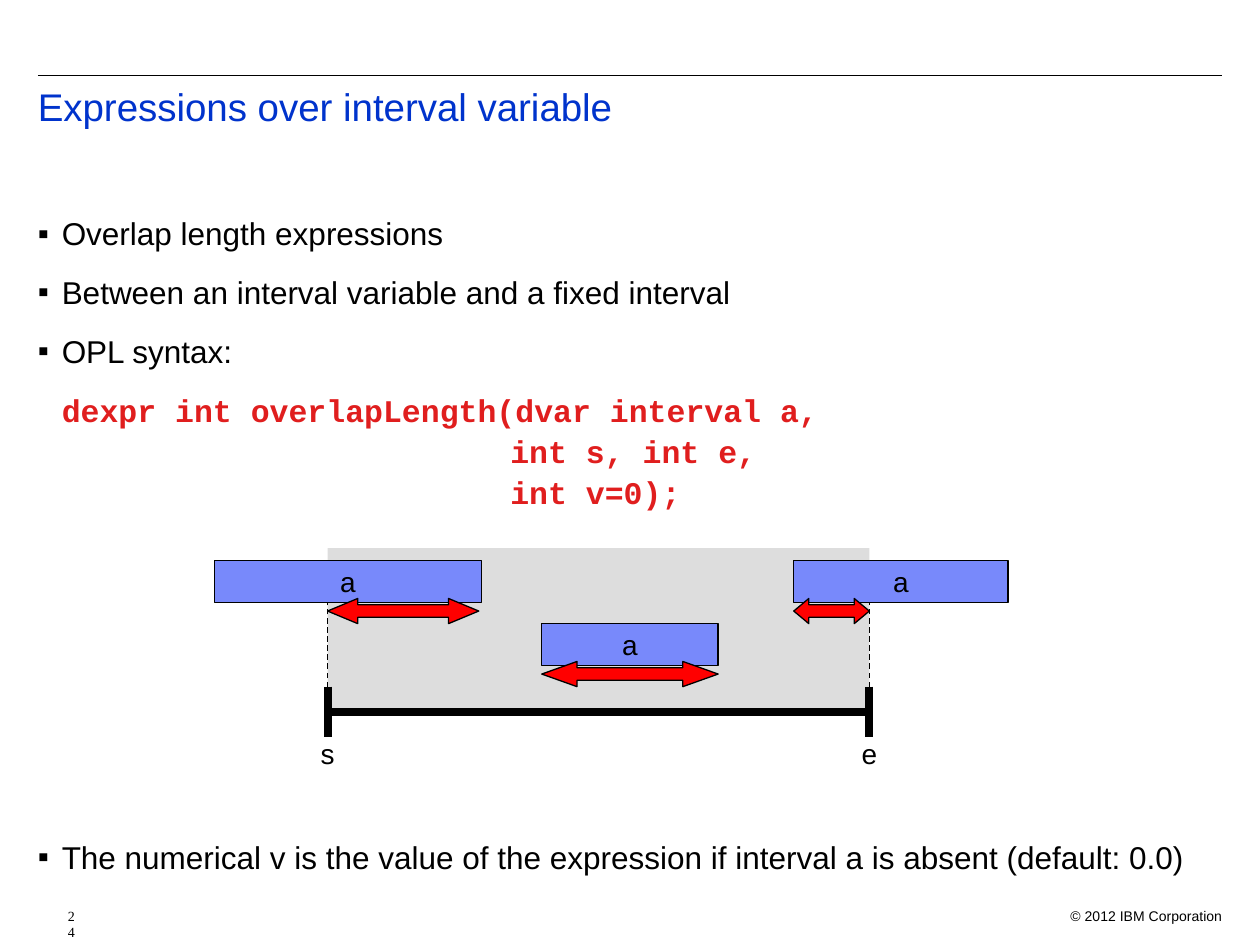
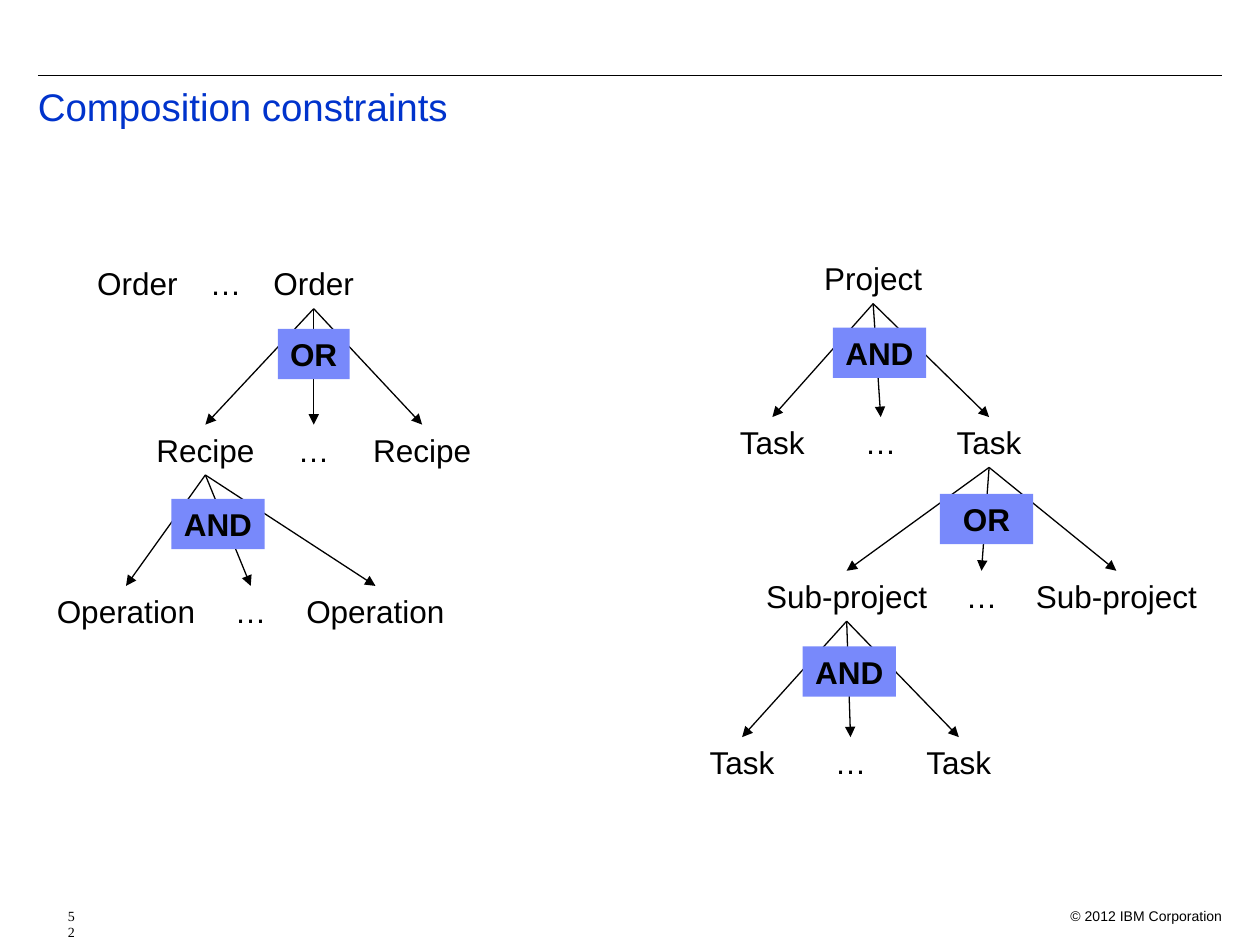
"""Build two slides on interval expressions and composition constraints."""
from lxml.etree import SubElement
from pptx import Presentation
from pptx.dml.color import RGBColor
from pptx.enum.dml import MSO_LINE
from pptx.enum.shapes import MSO_CONNECTOR, MSO_SHAPE
from pptx.enum.text import MSO_ANCHOR as ANCHOR, MSO_AUTO_SIZE as AUTO_SIZE, PP_ALIGN as ALIGN
from pptx.oxml.ns import qn
from pptx.util import Pt

PX = 9144
BLACK = RGBColor(0, 0, 0)
TITLE_BLUE = RGBColor(0, 0x33, 0xCC)
BOX_BLUE = RGBColor(0x78, 0x89, 0xFB)
CODE_RED = RGBColor(0xE0, 0x1E, 0x1E)
ARROW_RED = RGBColor(0xFF, 0, 0)
WINDOW_GREY = RGBColor(0xDD, 0xDD, 0xDD)

TITLE = {"size": Pt(22), "name": "Arial", "color": TITLE_BLUE}
BODY = {"size": Pt(18), "name": "Arial", "color": BLACK}
CODE = {"size": Pt(18), "name": "Courier New", "color": CODE_RED, "bold": True}
GATE = {**BODY, "bold": True}
LABEL = {**BODY, "size": Pt(16)}
FOOTER = {**BODY, "size": Pt(8)}
NUMBER = {**FOOTER, "name": "Times New Roman"}

COPYRIGHT = "© 2012 IBM Corporation"
BULLET_INDENT = 19
NUMBER_INDENT = 24

OVERLAP_TITLE = "Expressions over interval variable"
OVERLAP_LINES = [
    ("Overlap length expressions", BODY, 0),
    ("Between an interval variable and a fixed interval", BODY, 12),
    ("OPL syntax:", BODY, 12),
    ("dexpr int overlapLength(dvar interval a,", CODE, 12.5),
    ("                         int s, int e,", CODE, 1.6),
    ("                         int v=0);", CODE, 1.6),
    ("The numerical v is the value of the expression if interval a is absent (default: 0.0)",
     BODY, 187),
]
WINDOW = {"s": 260, "e": 690}
INTERVALS = [(170, 445, 212), (430, 495, 140), (630, 445, 170)]
OVERLAPS = [(260, 475, 120), (430, 525, 140), (630, 475, 60)]
ARROW_HEIGHT = 20

COMPOSITION_TITLE = "Composition constraints"
NODE_HEIGHT = 40
NODE_WIDTHS = {"Order": 84, "Recipe": 98, "Operation": 130, "Project": 98, "Task": 74,
               "Sub-project": 148, "…": 45, "OR": 57, "AND": 74}
ROWS = {
    "orders": ("Order", 205, 109, 249),
    "recipes": ("Recipe", 337, 163, 335),
    "operations": ("Operation", 465, 100, 298),
    "project": ("Project", 201, 693, 693),
    "tasks": ("Task", 331, 613, 785),
    "sub-projects": ("Sub-project", 453, 672, 886),
    "sub-tasks": ("Task", 585, 589, 761),
}
FIRST, LAST = 0, -1
BRANCHES = [
    ("orders", LAST, "recipes", "OR", 249, 261, 57),
    ("recipes", FIRST, "operations", "AND", 173, 396, 74),
    ("project", FIRST, "tasks", "AND", 698, 260, 74),
    ("tasks", LAST, "sub-projects", "OR", 783, 392, 74),
    ("sub-projects", FIRST, "sub-tasks", "AND", 674, 513, 74),
]


def px(*lengths):
    return [round(length * PX) for length in lengths]


def apply(target, **values):
    for name, value in values.items():
        setattr(target, name, value)


def write(paragraph, text, style, **layout):
    run = paragraph.add_run()
    run.text = text
    for name, value in style.items():
        if name == "color":
            run.font.color.rgb = value
        else:
            setattr(run.font, name, value)
    apply(paragraph, **layout)


def indent(paragraph, margin, first):
    properties = paragraph._p.get_or_add_pPr()
    properties.set("marL", str(margin * PX))
    properties.set("indent", str(first * PX))
    return properties


def add_text(slide, text, style, box, wrap=False, **layout):
    frame = slide.shapes.add_textbox(*px(*box)).text_frame
    frame.word_wrap = wrap
    write(frame.paragraphs[0], text, style, **layout)
    return frame.paragraphs[0]


def add_shape(slide, kind, box, fill, outlined=True, text="", style=LABEL):
    shape = slide.shapes.add_shape(kind, *px(*box))
    shape.shadow.inherit = False
    shape.fill.solid()
    shape.fill.fore_color.rgb = fill
    if outlined:
        shape.line.color.rgb = BLACK
        shape.line.width = Pt(0.75)
    else:
        shape.line.fill.background()
    if text:
        apply(shape.text_frame, word_wrap=False, vertical_anchor=ANCHOR.MIDDLE)
        write(shape.text_frame.paragraphs[0], text, style, alignment=ALIGN.CENTER)
    return shape


def add_line(slide, start, end, width=0.75, dash=None, arrow=False):
    connector = slide.shapes.add_connector(MSO_CONNECTOR.STRAIGHT, *px(*start, *end))
    connector.line.color.rgb = BLACK
    apply(connector.line, width=Pt(width), dash_style=dash)
    if arrow:
        SubElement(connector.line._get_or_add_ln(), qn("a:tailEnd"), type="triangle")
    SubElement(connector._element.spPr, qn("a:effectLst"))


def place(placeholder, box):
    names = ("left", "top", "width", "height")
    apply(placeholder, **dict(zip(names, px(*box))))
    apply(placeholder.text_frame, vertical_anchor=ANCHOR.TOP, auto_size=AUTO_SIZE.NONE,
          word_wrap=True)
    return placeholder.text_frame


def add_slide(presentation, layout, title, number):
    slide = presentation.slides.add_slide(presentation.slide_layouts.get_by_name(layout))
    add_line(slide, (30, 60), (970, 60))
    frame = place(slide.shapes.title, (20, 65, 950, 70))
    write(frame.paragraphs[0], title, TITLE, alignment=ALIGN.LEFT, line_spacing=0.9)
    add_text(slide, COPYRIGHT, FOOTER, (830, 715, 150, 20), True, alignment=ALIGN.RIGHT)
    indent(add_text(slide, number, NUMBER, (20, 715, 40, 20), True), NUMBER_INDENT, 0)
    return slide


def fill_body(frame):
    for index, (text, style, space) in enumerate(OVERLAP_LINES):
        paragraph = frame.add_paragraph() if index else frame.paragraphs[0]
        hanging = style is BODY or text.startswith(" ")
        properties = indent(paragraph, BULLET_INDENT, -BULLET_INDENT if hanging else 0)
        if style is BODY:
            SubElement(properties, qn("a:buFont"), typeface="Arial")
            SubElement(properties, qn("a:buChar"), char="▪")
        else:
            SubElement(properties, qn("a:buNone"))
        write(paragraph, text, style, space_before=Pt(space), line_spacing=1.0)


def build_overlap(presentation):
    slide = add_slide(presentation, "Title and Content", OVERLAP_TITLE, "24")
    fill_body(place(slide.placeholders[1], (20, 165, 950, 540)))
    start, end = WINDOW.values()
    add_shape(slide, MSO_SHAPE.RECTANGLE, (start, 435, end - start, 130), WINDOW_GREY, False)
    for name, x in WINDOW.items():
        add_line(slide, (x, 545), (x, 585), 4.5)
        add_line(slide, (x, 545), (x, 455), dash=MSO_LINE.DASH)
        add_text(slide, name, LABEL, (x - 16, 583, 32, 34), alignment=ALIGN.CENTER,
                 line_spacing=0.9)
    add_line(slide, (start, 565), (end, 565), 4.5)
    for left, top, width in INTERVALS:
        add_shape(slide, MSO_SHAPE.RECTANGLE, (left, top, width, 33), BOX_BLUE, text="a")
    for left, top, width in OVERLAPS:
        arrow = add_shape(slide, MSO_SHAPE.LEFT_RIGHT_ARROW,
                          (left, top, width, ARROW_HEIGHT), ARROW_RED)
        arrow.adjustments[1] = 0.2 * width / ARROW_HEIGHT


def row_nodes(row):
    label, _, first, last = ROWS[row]
    if first == last:
        return [(label, first)]
    return [(label, first), ("…", (first + last) / 2), (label, last)]


def build_composition(presentation):
    slide = add_slide(presentation, "Title Only", COMPOSITION_TITLE, "52")
    for row, (_, top, _, _) in ROWS.items():
        for label, center in row_nodes(row):
            width = NODE_WIDTHS[label]
            add_text(slide, label, BODY, (center - width / 2, top, width, NODE_HEIGHT),
                     alignment=ALIGN.CENTER)
    for parent, side, children, gate, center, top, width in BRANCHES:
        start = row_nodes(parent)[side][1], ROWS[parent][1] + NODE_HEIGHT
        for _, child in row_nodes(children):
            add_line(slide, start, (child, ROWS[children][1]), arrow=True)
        add_shape(slide, MSO_SHAPE.RECTANGLE, (center - width / 2, top, width, NODE_HEIGHT),
                  BOX_BLUE, False, gate, GATE)


def main():
    presentation = Presentation()
    apply(presentation, slide_width=1000 * PX, slide_height=750 * PX)
    build_overlap(presentation)
    build_composition(presentation)
    presentation.save("out.pptx")


if __name__ == "__main__":
    main()
